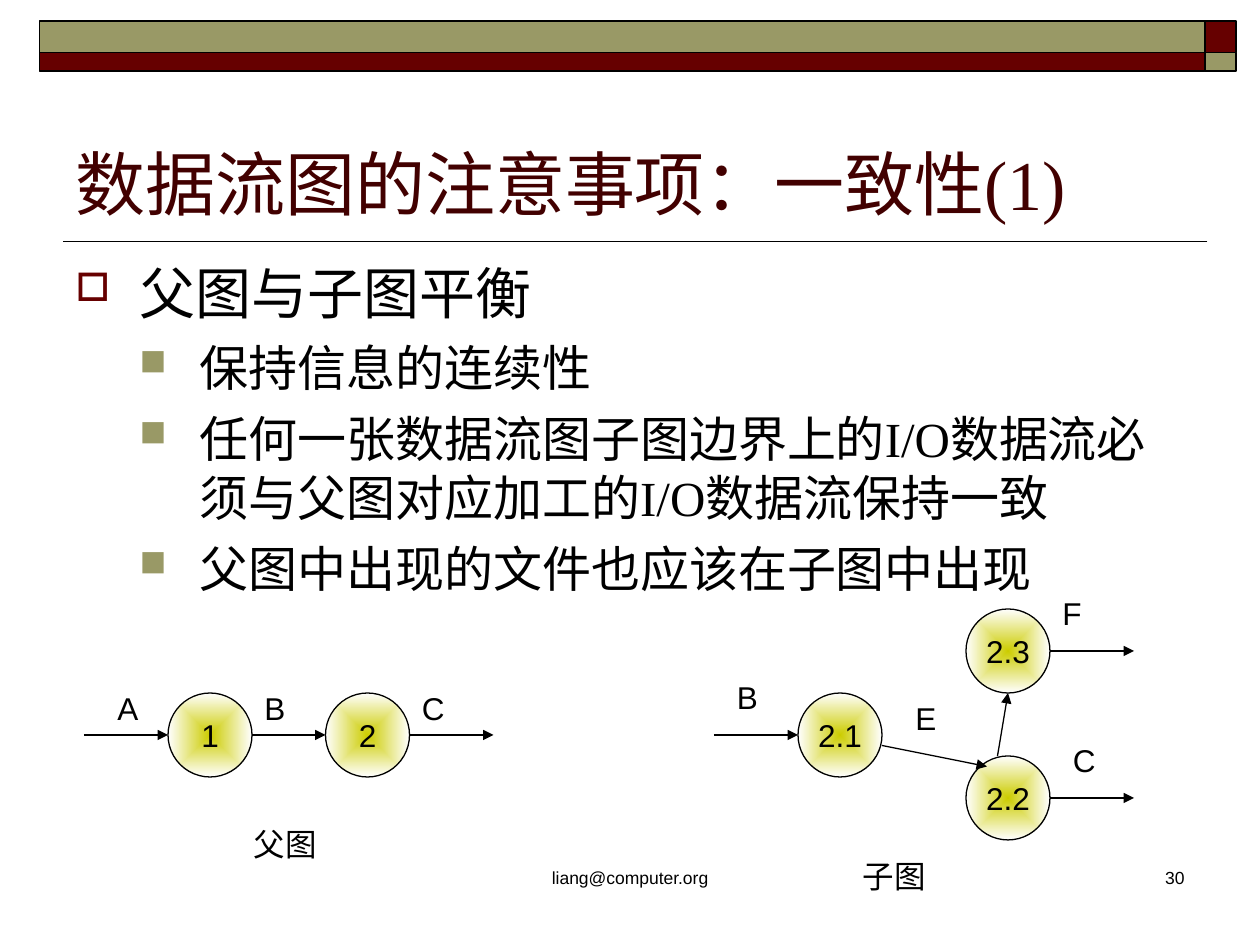
from typing import NamedTuple

import pptx
import pptx.dml.color
import pptx.enum.shapes
import pptx.enum.text
import pptx.oxml.ns
import pptx.util
from lxml import etree

Pt = pptx.util.Pt
Shape = pptx.enum.shapes.MSO_SHAPE
Align = pptx.enum.text.PP_ALIGN
Anchor = pptx.enum.text.MSO_ANCHOR
Size = pptx.enum.text.MSO_AUTO_SIZE

UNIT = 2.54 / 12
DIAM = 8
HUES = {"black": "000000", "white": "FFFFFF", "wine": "660000",
        "dark": "420000", "olive": "999966", "lime": "CCCC00"}
TITLE = {"name": "Times New Roman", "size": Pt(40)}
HEAD = {"name": "Times New Roman", "size": Pt(32)}
POINT = {"name": "Times New Roman", "size": Pt(28)}
LABEL = {"name": "Arial", "size": Pt(18)}
FOOT = {"name": "Arial", "size": Pt(10)}


class Box(NamedTuple):
    left: float
    top: float
    width: float
    height: float


class Bar(NamedTuple):
    box: Box
    hue: str


class Node(NamedTuple):
    text: str
    left: float
    top: float


class Flow(NamedTuple):
    start: tuple[float, float]
    end: tuple[float, float]


class Label(NamedTuple):
    text: str
    left: float
    top: float
    width: float = 6


class Item(NamedTuple):
    text: str
    mark: str
    hue: str
    scale: int
    left: float
    hang: float
    gap: int
    style: dict


BARS = [Bar(Box(114.75, 2, 3, 3), "wine"), Bar(Box(3.75, 2, 111, 3), "olive"),
        Bar(Box(3.75, 5, 111, 1.8), "wine"), Bar(Box(114.75, 5, 3, 1.8), "olive")]
NODES = [Node("1", 16, 66), Node("2", 31, 66), Node("2.1", 76, 66),
         Node("2.3", 92, 58), Node("2.2", 92, 72)]
FLOWS = [Flow((8, 70), (16, 70)), Flow((24, 70), (31, 70)), Flow((39, 70), (47, 70)),
         Flow((68, 70), (76, 70)), Flow((95, 72), (96, 66)), Flow((84, 71), (94, 73)),
         Flow((100, 62), (108, 62)), Flow((100, 76), (108, 76))]
LABELS = [Label("A", 10, 65), Label("B", 24, 65), Label("C", 39, 65),
          Label("父图", 23, 78, 12), Label("子图", 81, 81, 12), Label("B", 69, 64),
          Label("E", 86, 66), Label("C", 101, 70), Label("F", 100, 56)]
POINTS = ["保持信息的连续性",
          "任何一张数据流图子图边界上的I/O数据流必须与父图对应加工的I/O数据流保持一致",
          "父图中出现的文件也应该在子图中出现"]
ITEMS = [Item("父图与子图平衡", "□", "wine", 70, 1.3, 1.3, 0, HEAD)] + [
    Item(text, "■", "olive", 75, 2.51, 1.22, 7, POINT) for text in POINTS]


def grid(*units: float) -> list:
    return [pptx.util.Cm(unit * UNIT) for unit in units]


def tint(hue: str) -> pptx.dml.color.RGBColor:
    return pptx.dml.color.RGBColor.from_string(HUES[hue])


def add_tag(root, name: str, **traits: str):
    return etree.SubElement(root, pptx.oxml.ns.qn(name), traits)


def write(para, text: str, style: dict, hue: str = "black") -> None:
    run = para.add_run()
    run.text = text
    for key, value in style.items():
        setattr(run.font, key, value)
    run.font.color.rgb = tint(hue)


def add_text(slide, box: Box, text: str, style: dict,
             align=Align.LEFT, fit=Size.NONE) -> None:
    frame = slide.shapes.add_textbox(*grid(*box)).text_frame
    frame.word_wrap = True
    frame.auto_size = fit
    para = frame.paragraphs[0]
    para.alignment = align
    write(para, text, style)


def add_form(slide, kind, box: Box, weight: float):
    form = slide.shapes.add_shape(kind, *grid(*box))
    form.shadow.inherit = False
    form.line.color.rgb = tint("black")
    form.line.width = Pt(weight)
    return form


def add_bar(slide, bar: Bar) -> None:
    form = add_form(slide, Shape.RECTANGLE, bar.box, 1)
    form.fill.solid()
    form.fill.fore_color.rgb = tint(bar.hue)


def add_node(slide, node: Node) -> None:
    form = add_form(slide, Shape.OVAL, Box(node.left, node.top, DIAM, DIAM), 0.75)
    form.fill.gradient()
    for stop, place, hue in zip(form.fill.gradient_stops, (0, 1), ("lime", "white")):
        stop.position = place
        stop.color.rgb = tint(hue)
    grad = form.element.spPr.find(pptx.oxml.ns.qn("a:gradFill"))
    grad.remove(grad.find(pptx.oxml.ns.qn("a:lin")))
    route = add_tag(grad, "a:path", path="rect")
    add_tag(route, "a:fillToRect", **dict.fromkeys("ltrb", "50000"))
    frame = form.text_frame
    frame.word_wrap = False
    frame.vertical_anchor = Anchor.MIDDLE
    para = frame.paragraphs[0]
    para.alignment = Align.CENTER
    write(para, node.text, LABEL)


def add_line(slide, flow: Flow, weight: float = 0.75, arrow: bool = True) -> None:
    straight = pptx.enum.shapes.MSO_CONNECTOR.STRAIGHT
    line = slide.shapes.add_connector(straight, *grid(*flow.start, *flow.end))
    line.line.color.rgb = tint("black")
    line.line.width = Pt(weight)
    if arrow:
        add_tag(line.line._get_or_add_ln(), "a:tailEnd", type="triangle")
    add_tag(line.element.spPr, "a:effectLst")


def add_items(slide, box: Box, items: list[Item]) -> None:
    frame = slide.shapes.add_textbox(*grid(*box)).text_frame
    frame.word_wrap = True
    for place, item in enumerate(items):
        para = frame.add_paragraph() if place else frame.paragraphs[0]
        para.level = min(place, 1)
        props = para._p.get_or_add_pPr()
        props.set("marL", str(pptx.util.Cm(item.left)))
        props.set("indent", str(-pptx.util.Cm(item.hang)))
        add_tag(add_tag(props, "a:buClr"), "a:srgbClr", val=HUES[item.hue])
        add_tag(props, "a:buSzPct", val=str(item.scale * 1000))
        add_tag(props, "a:buChar", char=item.mark)
        para.space_before = Pt(item.gap)
        write(para, item.text, item.style)


def set_title(slide, box: Box, text: str) -> None:
    title = slide.shapes.title
    for key, value in zip(Box._fields, grid(*box)):
        setattr(title, key, value)
    frame = title.text_frame
    traits = {"word_wrap": True, "auto_size": Size.NONE, "vertical_anchor": Anchor.BOTTOM}
    for key, value in traits.items():
        setattr(frame, key, value)
    para = frame.paragraphs[0]
    para.alignment = Align.LEFT
    write(para, text, TITLE, "dark")


def main() -> None:
    deck = pptx.Presentation()
    deck.slide_width, deck.slide_height = grid(120, 90)
    slide = deck.slides.add_slide(deck.slide_layouts[5])
    set_title(slide, Box(6, 7, 108, 15), "数据流图的注意事项：一致性(1)")
    add_line(slide, Flow((115, 23), (6, 23)), 1, False)
    for bar in BARS:
        add_bar(slide, bar)
    add_text(slide, Box(41, 82, 38, 6), "liang@computer.org", FOOT, Align.CENTER)
    add_text(slide, Box(89, 82, 25, 6), "30", FOOT, Align.RIGHT)
    add_items(slide, Box(6, 24, 108, 56.4), ITEMS)
    for node in NODES:
        add_node(slide, node)
    for flow in FLOWS:
        add_line(slide, flow)
    for label in LABELS:
        box = Box(label.left, label.top, label.width, 4.8)
        add_text(slide, box, label.text, LABEL, fit=Size.SHAPE_TO_FIT_TEXT)
    deck.save("out.pptx")


if __name__ == "__main__":
    main()
